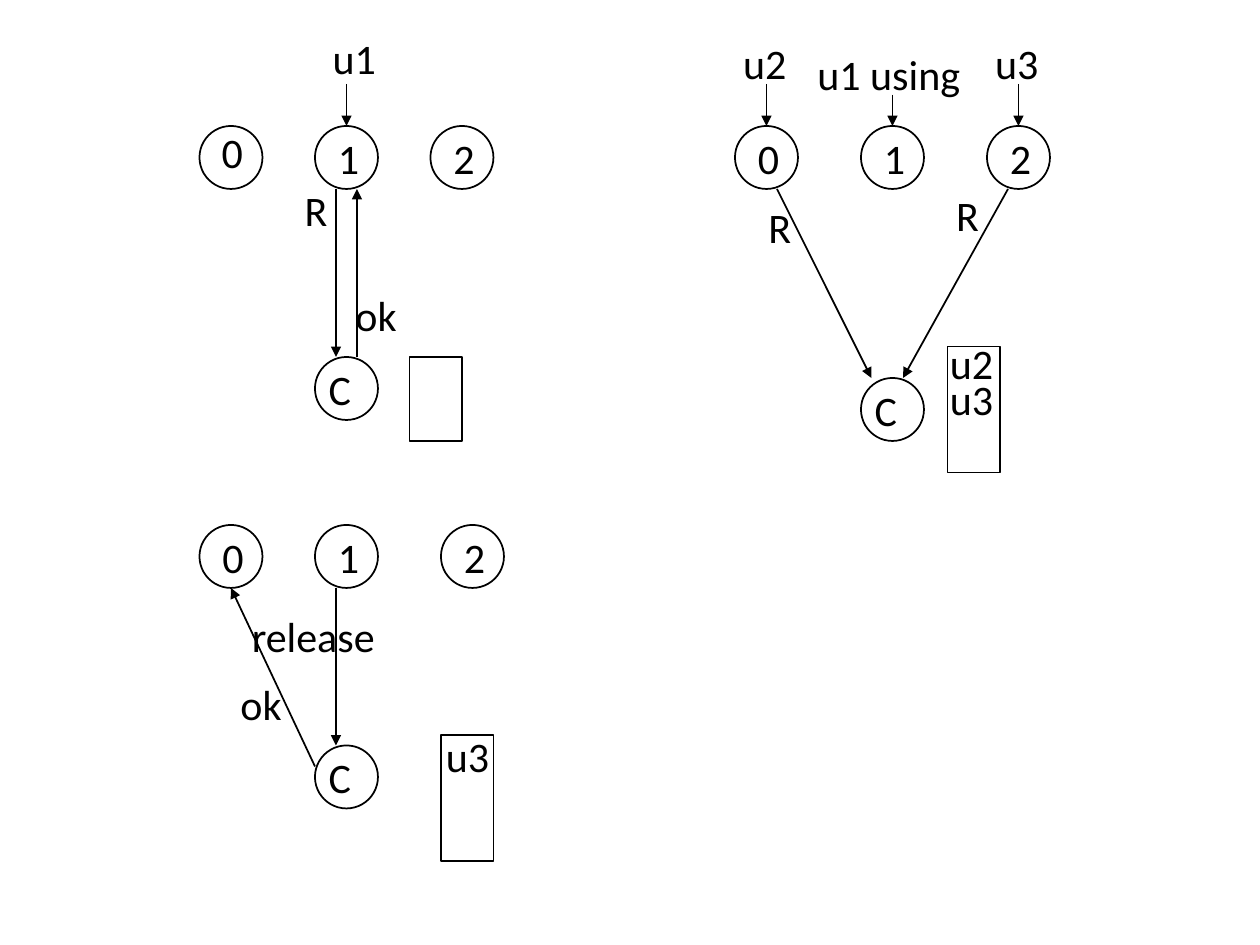
from dataclasses import dataclass

from lxml.etree import SubElement
from pptx import Presentation
from pptx.dml.color import RGBColor
from pptx.enum.shapes import MSO_CONNECTOR, MSO_SHAPE
from pptx.enum.text import MSO_ANCHOR, MSO_AUTO_SIZE, PP_ALIGN
from pptx.oxml.ns import qn
from pptx.util import Pt

BLACK = RGBColor(0x00, 0x00, 0x00)
NODE_SIZE = 36
TEXT_HEIGHT = 36
QUEUE_WIDTH = 30
FRAME_FORMAT = {
    "word_wrap": False,
    "auto_size": MSO_AUTO_SIZE.SHAPE_TO_FIT_TEXT,
    "vertical_anchor": MSO_ANCHOR.TOP,
}
FONT_FORMAT = {"name": "Calibri", "size": Pt(24)}


@dataclass(frozen=True)
class Label:
    text: str
    left: float
    top: float
    width: float


@dataclass(frozen=True)
class Node:
    name: str
    left: float
    top: float
    label_dx: float = 6
    label_dy: float = 0
    label_width: float = 27


@dataclass(frozen=True)
class Queue:
    left: float
    top: float
    height: float


@dataclass(frozen=True)
class Arrow:
    start: tuple[float, float]
    end: tuple[float, float]


@dataclass(frozen=True)
class Scene:
    nodes: list[Node]
    queue: Queue
    arrows: list[Arrow]
    labels: list[Label]


def coordinator(left: float, top: float) -> Node:
    return Node("C", left, top, label_dx=0.7, label_width=29)


SCENES = [
    # Process 1 requests the resource and is granted it
    Scene(
        [Node("0", 114, 72, 5.5, -3), Node("1", 180, 72), Node("2", 246, 72),
         coordinator(180, 204)],
        Queue(234, 204, 48),
        [Arrow((198, 48), (198, 72)), Arrow((192, 108), (192, 204)),
         Arrow((204, 204), (204, 108))],
        [Label("u1", 183, 15, 43), Label("R", 167, 102, 30),
         Label("ok", 196, 162, 42.5)],
    ),
    # Processes 0 and 2 request while process 1 is using it
    Scene(
        [Node("0", 420, 72), Node("1", 492, 72), Node("2", 564, 72),
         coordinator(492, 216)],
        Queue(541.5, 198, 72),
        [Arrow((438, 48), (438, 72)), Arrow((510, 54), (510, 72)),
         Arrow((582, 48), (582, 72)), Arrow((444, 108), (498, 216)),
         Arrow((576, 108), (516, 216))],
        [Label("u2", 417.6, 18, 43), Label("u1 using", 460, 24, 111.6),
         Label("u3", 561.6, 18, 43), Label("R", 432, 111.6, 30),
         Label("R", 539.3, 105, 30), Label("u2", 535.7, 189.4, 43),
         Label("u3", 535.7, 210.2, 43)],
    ),
    # Process 1 releases, process 0 is granted, u3 still waits
    Scene(
        [Node("0", 114, 300), Node("1", 180, 300), Node("2", 252, 300),
         coordinator(180, 426)],
        Queue(252, 420, 72),
        [Arrow((192, 336), (192, 426)), Arrow((180, 438), (132, 336))],
        [Label("release", 136.8, 345.6, 95.8), Label("ok", 130.3, 384, 42.5),
         Label("u3", 247.7, 414, 43)],
    ),
]


def add_label(page, label: Label) -> None:
    box = page.shapes.add_textbox(
        Pt(label.left), Pt(label.top), Pt(label.width), Pt(TEXT_HEIGHT))
    for key, value in FRAME_FORMAT.items():
        setattr(box.text_frame, key, value)
    para = box.text_frame.paragraphs[0]
    para.alignment = PP_ALIGN.LEFT
    span = para.add_run()
    span.text = label.text
    for key, value in FONT_FORMAT.items():
        setattr(span.font, key, value)
    span.font.color.rgb = BLACK


def add_outline(page, kind: MSO_SHAPE, left: float, top: float,
                width: float, height: float) -> None:
    shape = page.shapes.add_shape(kind, Pt(left), Pt(top), Pt(width), Pt(height))
    shape.shadow.inherit = False
    shape.fill.background()
    shape.line.color.rgb = BLACK
    shape.line.width = Pt(1)


def add_node(page, node: Node) -> None:
    add_outline(page, MSO_SHAPE.OVAL, node.left, node.top, NODE_SIZE, NODE_SIZE)
    add_label(page, Label(node.name, node.left + node.label_dx,
                          node.top + node.label_dy, node.label_width))


def add_arrow(page, arrow: Arrow) -> None:
    points = [Pt(value) for value in (*arrow.start, *arrow.end)]
    line = page.shapes.add_connector(MSO_CONNECTOR.STRAIGHT, *points)
    line.line.color.rgb = BLACK
    line.line.width = Pt(1)
    SubElement(line.line._get_or_add_ln(), qn("a:tailEnd"), type="triangle")
    SubElement(line._element.spPr, qn("a:effectLst"))


def add_scene(page, scene: Scene) -> None:
    for node in scene.nodes:
        add_node(page, node)
    queue = scene.queue
    add_outline(page, MSO_SHAPE.RECTANGLE, queue.left, queue.top,
                QUEUE_WIDTH, queue.height)
    for arrow in scene.arrows:
        add_arrow(page, arrow)
    for label in scene.labels:
        add_label(page, label)


def main() -> None:
    deck = Presentation()
    deck.slide_width, deck.slide_height = Pt(720), Pt(540)
    page = deck.slides.add_slide(deck.slide_layouts[6])
    for scene in SCENES:
        add_scene(page, scene)
    deck.save("out.pptx")


if __name__ == "__main__":
    main()
